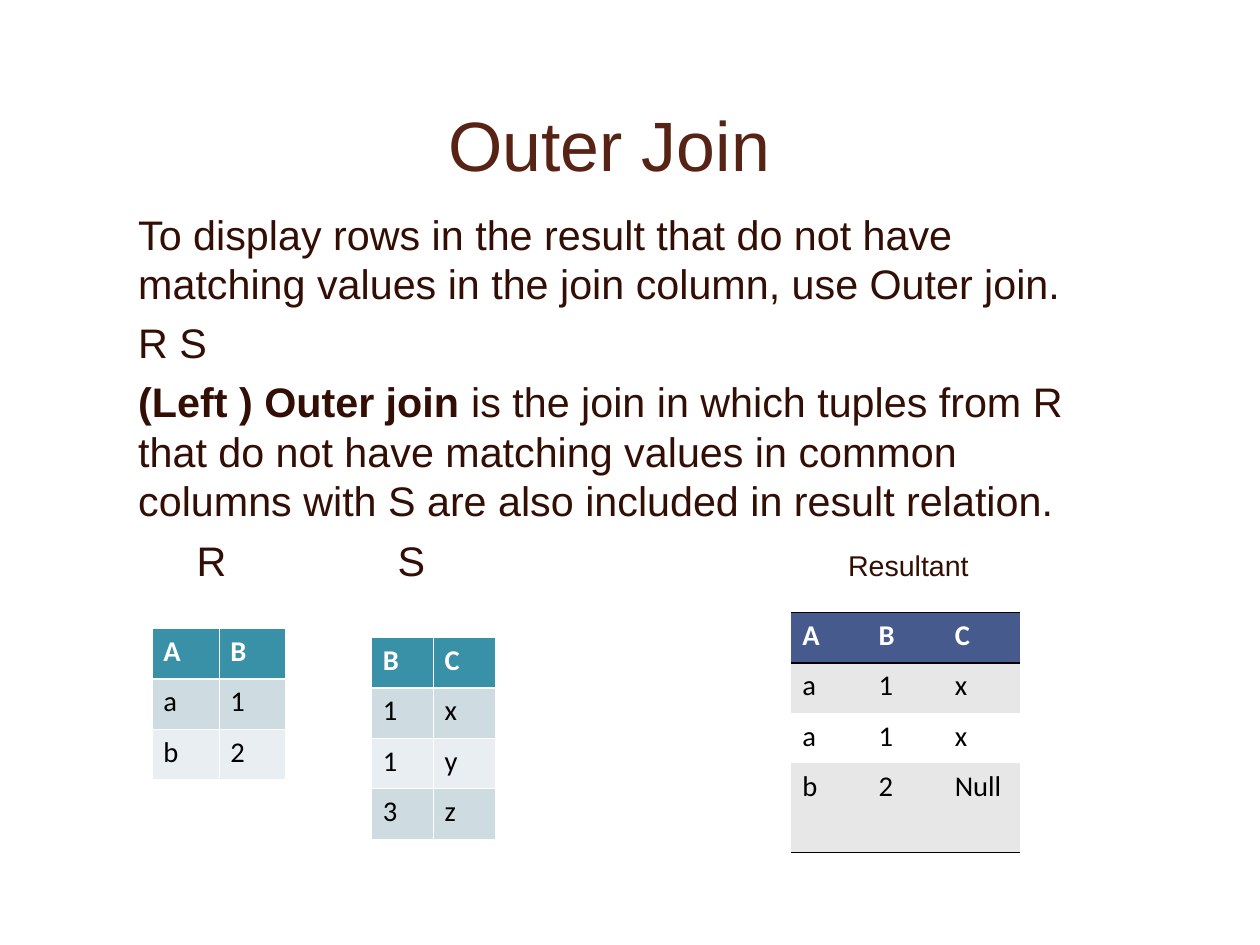
import pptx
import pptx.dml.color
import pptx.enum.text
import pptx.oxml
import pptx.oxml.ns
import pptx.util

Inches = pptx.util.Inches
Pt = pptx.util.Pt
RGBColor = pptx.dml.color.RGBColor
Align = pptx.enum.text.PP_ALIGN
Anchor = pptx.enum.text.MSO_ANCHOR

BROWN = RGBColor(0x57, 0x23, 0x14)
DARK_BROWN = RGBColor(0x32, 0x0E, 0x04)
WHITE = RGBColor(0xFF, 0xFF, 0xFF)
BLACK = RGBColor(0x00, 0x00, 0x00)
TEAL = RGBColor(0x38, 0x91, 0xA7)
TEAL_BAND = RGBColor(0xCE, 0xDC, 0xE1)
TEAL_PALE = RGBColor(0xE8, 0xEE, 0xF1)
NAVY = RGBColor(0x47, 0x5A, 0x8D)
GREY_BAND = RGBColor(0xE7, 0xE7, 0xE7)

CM_PER_INCH = 2.54
ROW_HEIGHT = 0.44
THIN, RULE, THICK = 0.45, 0.96, 1.47
LABEL_TABS = (0.51, 2.27, 6.21)


def add_text_frame(slide, left, top, width, height, anchor, left_inset, top_inset):
    frame = slide.shapes.add_textbox(
        Inches(left), Inches(top), Inches(width), Inches(height)).text_frame
    frame.word_wrap = True
    frame.vertical_anchor = anchor
    frame.margin_left = Inches(left_inset)
    frame.margin_top = Inches(top_inset)
    return frame


def add_run(paragraph, text, size, color, font="Arial", bold=False):
    run = paragraph.add_run()
    run.text = text
    run.font.size = Pt(size)
    run.font.name = font
    run.font.bold = bold
    run.font.color.rgb = color


def set_tabs(paragraph, stops):
    tabs = "".join(f'<a:tab pos="{Inches(stop)}" algn="l"/>' for stop in stops)
    paragraph._p.get_or_add_pPr().append(pptx.oxml.parse_xml(
        f'<a:tabLst {pptx.oxml.ns.nsdecls("a")}>{tabs}</a:tabLst>'))


def add_title(slide):
    frame = add_text_frame(slide, 1.17, 0.67, 8.08, 1, Anchor.BOTTOM, 0.34, 0.05)
    title = frame.paragraphs[0]
    title.alignment = Align.CENTER
    add_run(title, "Outer Join", 44, BROWN)


def add_explanation(slide):
    frame = add_text_frame(slide, 1.08, 1.83, 8.5, 5.67, Anchor.TOP, 0.13, 0)
    # Each run is (text, size, bold)
    lines = [
        [("To display rows in the result that do not have matching values "
          "in the join column, use Outer join.", 26, False)],
        [("R S", 26, False)],
        [("(Left ) Outer join ", 26, True),
         ("is the join in which tuples from R that do not have matching values "
          "in common columns with S are also included in result relation.",
          26, False)],
        [("\tR\tS\t", 26, False), ("Resultant", 18, False)],
    ]
    for index, runs in enumerate(lines):
        paragraph = frame.add_paragraph() if index else frame.paragraphs[0]
        if index:
            paragraph.space_before = Pt(6)
        for text, size, bold in runs:
            add_run(paragraph, text, size, DARK_BROWN, bold=bold)
    set_tabs(paragraph, LABEL_TABS)


def set_borders(cell, color, widths):
    """Draw the left, right, top and bottom edges; a width of 0 hides one."""
    properties = cell._tc.get_or_add_tcPr()
    for index, (side, width) in enumerate(zip("LRTB", widths)):
        paint = (f'<a:solidFill><a:srgbClr val="{color}"/></a:solidFill>'
                 if width else "<a:noFill/>")
        properties.insert(index, pptx.oxml.parse_xml(
            f'<a:ln{side} {pptx.oxml.ns.nsdecls("a")} w="{Pt(width)}">'
            f'{paint}</a:ln{side}>'))


def grid_borders(row, last_row):
    return (THIN, THIN, THICK if row == 1 else THIN, THICK if row == 0 else THIN)


def ruled_borders(row, last_row):
    return (0, 0, RULE if row < 2 else 0, RULE if row in (0, last_row) else 0)


def add_relation(slide, left, top, width, rows, fills, line_color,
                 borders, last_height=ROW_HEIGHT):
    """Add a relation table; fills holds header, odd row and even row colours."""
    header, odd, even = fills
    heights = [ROW_HEIGHT] * (len(rows) - 1) + [last_height]
    table = slide.shapes.add_table(
        len(rows), len(rows[0]), Inches(left), Inches(top),
        Inches(width), Inches(sum(heights))).table
    for r, values in enumerate(rows):
        table.rows[r].height = Inches(heights[r])
        for c, value in enumerate(values):
            cell = table.cell(r, c)
            cell.fill.solid()
            cell.fill.fore_color.rgb = header if r == 0 else odd if r % 2 else even
            set_borders(cell, line_color, borders(r, len(rows) - 1))
            add_run(cell.text_frame.paragraphs[0], value, 18,
                    BLACK if r else WHITE, "Calibri", bold=r == 0)


def main():
    presentation = pptx.Presentation()
    presentation.slide_width = Inches(28 / CM_PER_INCH)
    presentation.slide_height = Inches(21 / CM_PER_INCH)
    slide = presentation.slides.add_slide(presentation.slide_layouts[6])
    add_title(slide)
    add_explanation(slide)
    teal_fills = (TEAL, TEAL_BAND, TEAL_PALE)
    add_relation(slide, 1.33, 5.5, 1.17, ["AB", "a1", "b2"],
                 teal_fills, WHITE, grid_borders)
    add_relation(slide, 3.25, 5.58, 1.08, ["BC", "1x", "1y", "3z"],
                 teal_fills, WHITE, grid_borders)
    add_relation(slide, 6.92, 5.36, 2,
                 ["ABC", "a1x", "a1x", ("b", "2", "Null")],
                 (NAVY, GREY_BAND, WHITE), BLACK, ruled_borders, 0.78)
    presentation.save("out.pptx")


if __name__ == "__main__":
    main()
